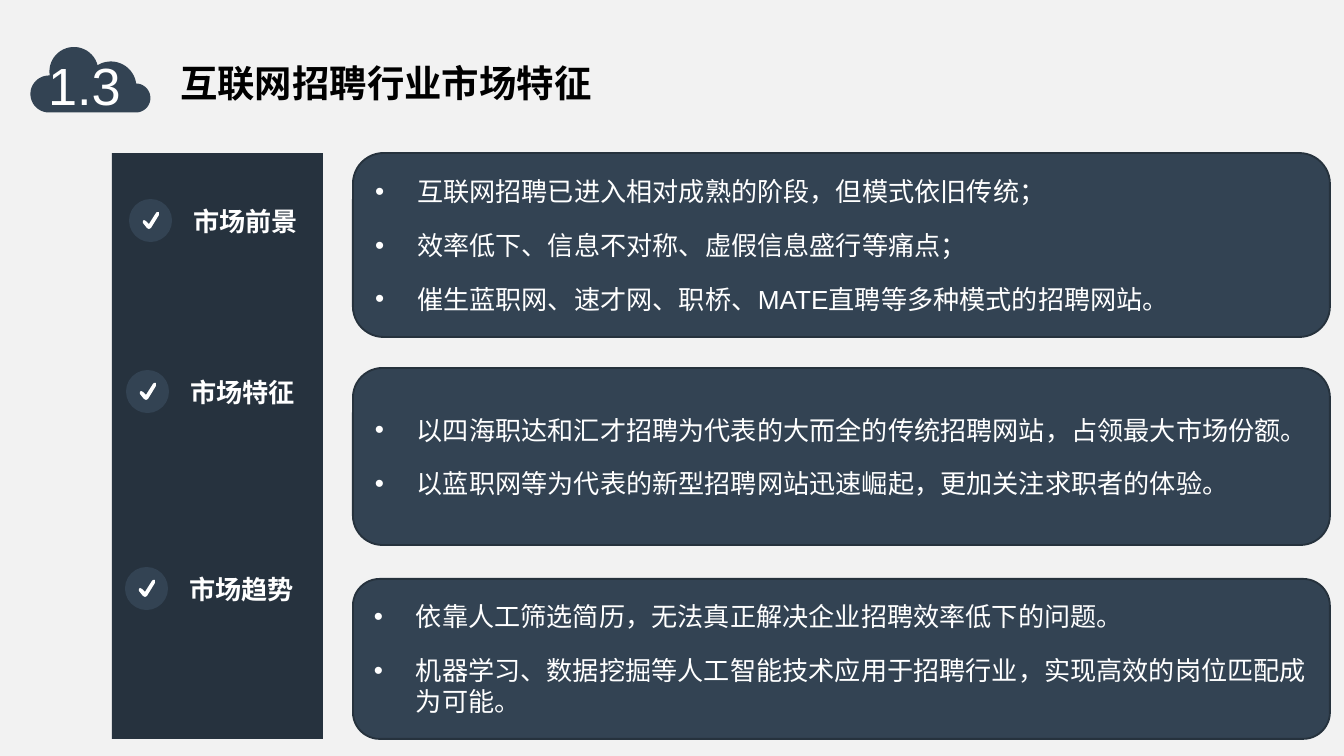
from dataclasses import dataclass
from math import cos, radians, sin

from lxml import etree
from pptx import Presentation
from pptx.dml.color import RGBColor
from pptx.enum.shapes import MSO_SHAPE as SHAPE
from pptx.enum.text import MSO_ANCHOR as ANCHOR, PP_ALIGN as ALIGN
from pptx.oxml.ns import qn
from pptx.util import Emu, Pt

PX = 914400 / 134.4


def px(n):
    return Emu(round(n * PX))


@dataclass(frozen=True)
class Theme:
    back: str = "F2F2F2"
    slate: str = "334353"
    dark: str = "26323E"
    edge: str = "26323D"
    white: str = "FFFFFF"
    black: str = "000000"
    font: str = "Arial"
    title_font: str = "Noto Sans CJK SC"
    number: int = 28
    title: int = 20
    body: int = 14
    gap: int = 6


class Deck:
    def __init__(self, theme):
        self.t = theme
        self.prs = Presentation()
        self.prs.slide_width, self.prs.slide_height = px(1344), px(756)
        self.s = self.prs.slides.add_slide(self.prs.slide_layouts[6])
        fill = self.s.background.fill
        fill.solid()
        fill.fore_color.rgb = RGBColor.from_string(theme.back)

    def paint(self, sp, fill, line=None):
        sp.shadow.inherit = False
        sp.fill.solid()
        sp.fill.fore_color.rgb = RGBColor.from_string(fill)
        if line:
            sp.line.color.rgb = RGBColor.from_string(line)
            sp.line.width = Pt(1)
        else:
            sp.line.fill.background()
        return sp

    def shape(self, kind, x, y, w, h, fill, line=None):
        sp = self.s.shapes.add_shape(kind, px(x), px(y), px(w), px(h))
        return self.paint(sp, fill, line)

    def outline(self, points, fill):
        start, *rest = [(px(x), px(y)) for x, y in points]
        fb = self.s.shapes.build_freeform(*start, scale=1.0)
        fb.add_line_segments(rest, close=True)
        return self.paint(fb.convert_to_shape(), fill)

    def run(self, p, text, size, color, font=None, bold=False):
        r = p.add_run()
        r.text = text
        r.font.size, r.font.bold = Pt(size), bold
        r.font.name = font or self.t.font
        r.font.color.rgb = RGBColor.from_string(color)

    def text(self, x, y, w, h, text, size, color, wrap=True, **style):
        tf = self.s.shapes.add_textbox(px(x), px(y), px(w), px(h)).text_frame
        tf.word_wrap = wrap
        self.run(tf.paragraphs[0], text, size, color, **style)

    def panel(self, x, y, w, h, lines):
        t = self.t
        sp = self.shape(SHAPE.ROUNDED_RECTANGLE, x, y, w, h, t.slate, t.edge)
        tf = sp.text_frame
        tf.word_wrap = True
        tf.vertical_anchor = ANCHOR.MIDDLE
        for i, line in enumerate(lines):
            p = tf.add_paragraph() if i else tf.paragraphs[0]
            p.alignment = ALIGN.LEFT
            p.space_before = Pt(t.gap if i else 0)
            p.space_after = Pt(t.gap)
            pPr = p._p.get_or_add_pPr()
            pPr.set("marL", str(px(42)))
            pPr.set("indent", str(px(-42)))
            etree.SubElement(pPr, qn("a:buFont")).set("typeface", t.font)
            etree.SubElement(pPr, qn("a:buChar")).set("char", "•")
            self.run(p, line, t.body, t.white)

    def label(self, x, y, text):
        t = self.t
        self.text(x + 51, y, 133, 46, text, t.body, t.white, wrap=False, bold=True)
        self.shape(SHAPE.OVAL, x, y, 43, 43, t.slate)
        self.outline([(x + dx, y + dy) for dx, dy in CHECK], t.white)


# Tick outline, measured from the corner of its disc
CHECK = [(20, 30), (18, 29), (14, 24), (14, 22), (15, 21), (17, 22), (20, 25),
         (27, 14), (28, 13), (30, 13), (30, 16), (22, 29)]
# Cloud lobes: centre x, centre y, radius, first angle, last angle
LOBES = [(136, 98, 14.5, 90, -86), (111, 87, 25.5, -7, -121),
         (74, 71.5, 24.5, -14, -189), (49, 94, 18.5, -90, -270)]
# Label, its disc corner, panel top and height, panel lines
SECTIONS = [
    ("市场前景", 129, 199, 153, 184, [
        "互联网招聘已进入相对成熟的阶段，但模式依旧传统；",
        "效率低下、信息不对称、虚假信息盛行等痛点；",
        "催生蓝职网、速才网、职桥、MATE直聘等多种模式的招聘网站。"]),
    ("市场特征", 126, 370, 368, 177, [
        "以四海职达和汇才招聘为代表的大而全的传统招聘网站，占领最大市场份额。",
        "以蓝职网等为代表的新型招聘网站迅速崛起，更加关注求职者的体验。"]),
    ("市场趋势", 125, 567, 579, 160, [
        "依靠人工筛选简历，无法真正解决企业招聘效率低下的问题。",
        "机器学习、数据挖掘等人工智能技术应用于招聘行业，实现高效的岗位匹配成为可能。"]),
]


def cloud_points(steps=24):
    for cx, cy, radius, first, last in LOBES:
        for i in range(steps + 1):
            a = radians(first + (last - first) * i / steps)
            yield cx + radius * cos(a), cy + radius * sin(a)


def main():
    t = Theme()
    d = Deck(t)

    # Heading
    d.text(167, 54, 505, 59, "互联网招聘行业市场特征", t.title, t.black,
           font=t.title_font, bold=True)
    d.outline(cloud_points(), t.slate)
    d.text(35, 47, 117, 77, "1.3", t.number, t.white)

    # Side bar with labels, then the panels
    d.shape(SHAPE.RECTANGLE, 112, 153, 211, 586, t.dark)
    for name, x, y, *_ in SECTIONS:
        d.label(x, y, name)
    for *_, top, height, lines in SECTIONS:
        d.panel(353, top, 977, height, lines)

    d.prs.save("out.pptx")


if __name__ == "__main__":
    main()
